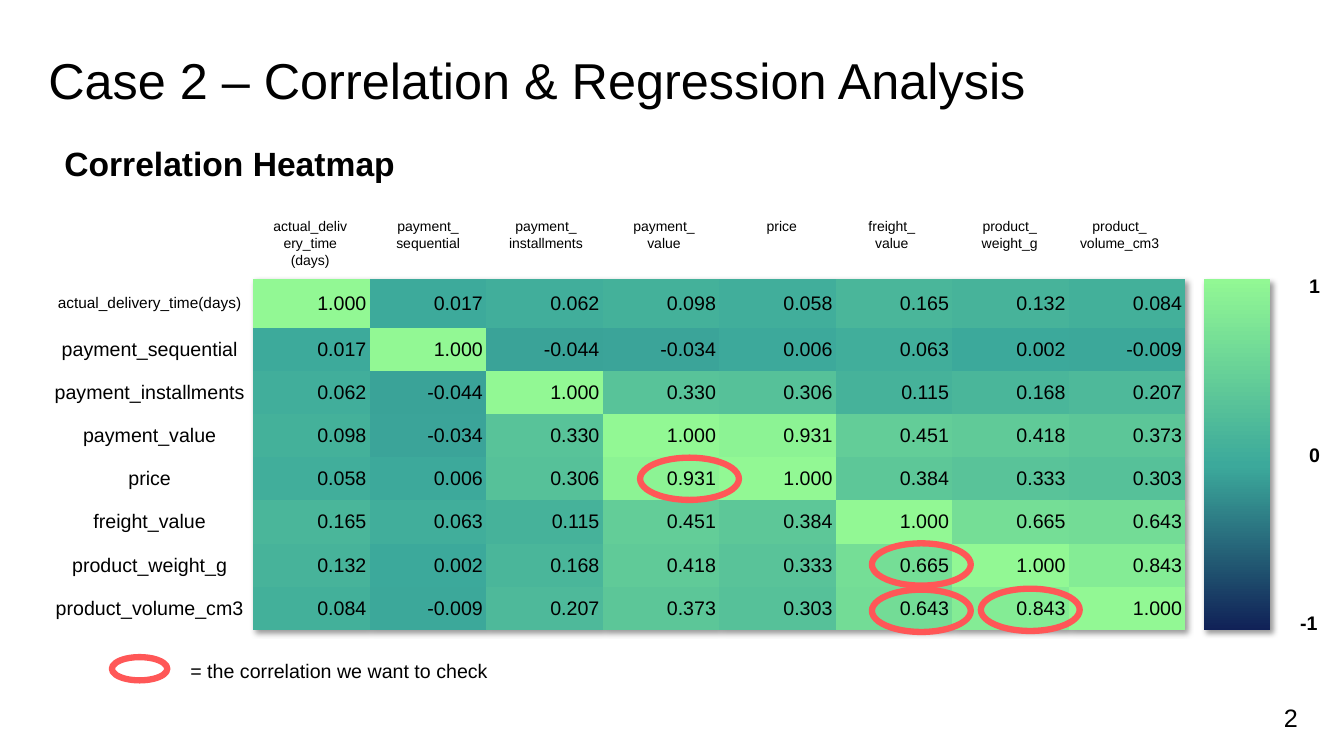
from dataclasses import dataclass
from typing import Any

from lxml import etree
from copy import deepcopy
from pptx import Presentation
from pptx import util as u
from pptx.dml import color
from pptx.enum import text
from pptx.enum import shapes
from pptx.oxml import ns

Pt = u.Pt
Align = text.PP_ALIGN
Anchor = text.MSO_ANCHOR


@dataclass(frozen=True)
class Theme:
    font: str = "Arial"
    ink: str = "000000"
    ring: str = "FF5757"
    low: str = "102157"
    middle: str = "3CA99B"
    high: str = "92F894"
    title: float = 36
    heading: float = 24
    page_number: float = 18
    body: float = 14
    small: float = 11
    header: float = 10


@dataclass(frozen=True)
class Box:
    left: float
    top: float
    width: float
    height: float

    def lengths(self) -> list[Any]:
        return [Pt(side) for side in (self.left, self.top, self.width, self.height)]


@dataclass(frozen=True)
class Label:
    words: str
    box: Box
    size: float
    bold: bool = False
    align: Any = None
    anchor: Any = Anchor.TOP
    line_spacing: float | None = None
    space_before: float = 0


THEME = Theme()
HEATMAP = Box(33.1, 199.5, 813.6, 250.6)
LABEL_COLUMN = 147.6
FIRST_ROW = 34.6
NO_STYLE = "{2D5ABB26-0587-4C30-8999-92F81FD0307C}"

CORRELATIONS = {
    "actual_delivery_time(days)": [1.0],
    "payment_sequential": [0.017, 1.0],
    "payment_installments": [0.062, -0.044, 1.0],
    "payment_value": [0.098, -0.034, 0.330, 1.0],
    "price": [0.058, 0.006, 0.306, 0.931, 1.0],
    "freight_value": [0.165, 0.063, 0.115, 0.451, 0.384, 1.0],
    "product_weight_g": [0.132, 0.002, 0.168, 0.418, 0.333, 0.665, 1.0],
    "product_volume_cm3": [0.084, -0.009, 0.207, 0.373, 0.303, 0.643, 0.843, 1.0],
}
HEADERS = {
    185.8: "actual_delivery_time\n(days)",
    270: "payment_\nsequential",
    354.2: "payment_\ninstallments",
    438.5: "payment_\nvalue",
    522.7: "price",
    601.2: "freight_\nvalue",
    685.4: "product_\nweight_g",
    763.9: "product_\nvolume_cm3",
}
SCALE_MARKS = [
    ("1", 928.1, 192.2),
    ("0", 928.1, 312.5),
    ("-1", 921.6, 432.7),
]
LABELS = [
    Label("2", Box(902.2, 500.4, 39.6, 35.3), THEME.page_number,
          align=Align.CENTER, line_spacing=0.9, space_before=10),
    Label("Case 2 – Correlation & Regression Analysis", Box(27.4, 7.2, 828, 104.4),
          THEME.title, anchor=Anchor.MIDDLE, line_spacing=0.9),
    Label("Correlation Heatmap", Box(38.9, 98.6, 511.2, 36), THEME.heading, bold=True),
    Label("= the correlation we want to check", Box(128.9, 467.3, 245, 24.5), THEME.body),
    *(Label(words, Box(left, top, 32.4, 24.5), THEME.body, bold=True)
      for words, left, top in SCALE_MARKS),
    *(Label(words, Box(left, 151.9, 71.6, 31.7), THEME.header, align=Align.CENTER)
      for left, words in HEADERS.items()),
]
RINGS = [
    *(Box(left, top, 70.6, 30.2)
      for left, top in [(457.2, 326.9), (622.8, 388.1), (622.8, 421.2), (700.6, 420.5)]),
    Box(79.9, 469.4, 39.6, 16.6),
]


def rgb(code: str) -> color.RGBColor:
    return color.RGBColor.from_string(code)


def heat(value: float) -> color.RGBColor:
    end = rgb(THEME.high if value >= 0 else THEME.low)
    pairs = zip(rgb(THEME.middle), end)
    return color.RGBColor(*(round(a + (b - a) * abs(value)) for a, b in pairs))


def style(para: Any, size: float, bold: bool = False, align: Any = None) -> None:
    para.alignment = align
    for span in para.runs:
        span.font.name = THEME.font
        span.font.size = Pt(size)
        span.font.bold = bold
        span.font.color.rgb = rgb(THEME.ink)


def add_label(page: Any, label: Label) -> None:
    frame = page.shapes.add_textbox(*label.box.lengths()).text_frame
    frame.word_wrap = True
    frame.vertical_anchor = label.anchor
    frame.text = label.words
    for para in frame.paragraphs:
        style(para, label.size, label.bold, label.align)
        para.line_spacing = label.line_spacing
        para.space_before = Pt(label.space_before)


def add_shadow(effects: Any) -> None:
    shadow = etree.SubElement(effects, ns.qn("a:outerShdw"), blurRad=str(Pt(4)),
                              dist=str(Pt(3)), dir="2700000", algn="tl", rotWithShape="0")
    black = etree.SubElement(shadow, ns.qn("a:srgbClr"), val=THEME.ink)
    etree.SubElement(black, ns.qn("a:alpha"), val="40000")


def fill_cell(cell: Any, words: str, size: float, align: Any) -> None:
    cell.text = words
    cell.vertical_anchor = Anchor.MIDDLE
    cell.margin_left = cell.margin_right = Pt(2.2)
    cell.margin_top = cell.margin_bottom = Pt(1.4)
    style(cell.text_frame.paragraphs[0], size, align=align)


def add_heatmap(page: Any) -> None:
    count = len(CORRELATIONS)
    table = page.shapes.add_table(count, count + 1, *HEATMAP.lengths()).table
    table.first_row = table.horz_banding = False
    properties = table._tbl.tblPr
    properties.find(ns.qn("a:tableStyleId")).text = NO_STYLE
    effects = etree.Element(ns.qn("a:effectLst"))
    properties.insert(0, effects)
    add_shadow(effects)
    for index, column in enumerate(table.columns):
        column.width = Pt((HEATMAP.width - LABEL_COLUMN) / count if index else LABEL_COLUMN)
    triangle = list(CORRELATIONS.values())
    for index, name in enumerate(CORRELATIONS):
        table.rows[index].height = Pt(
            (HEATMAP.height - FIRST_ROW) / (count - 1) if index else FIRST_ROW)
        name_cell = table.cell(index, 0)
        fill_cell(name_cell, name, THEME.body if index else THEME.small, Align.CENTER)
        name_cell.fill.background()
        for other in range(count):
            value = triangle[max(index, other)][min(index, other)]
            cell = table.cell(index, other + 1)
            fill_cell(cell, f"{value:.3f}", THEME.body, Align.RIGHT)
            cell.fill.solid()
            cell.fill.fore_color.rgb = heat(value)


def add_ring(page: Any, box: Box) -> None:
    ring = page.shapes.add_shape(shapes.MSO_SHAPE.OVAL, *box.lengths())
    ring.shadow.inherit = False
    ring.fill.background()
    ring.line.color.rgb = rgb(THEME.ring)
    ring.line.width = Pt(4.5)


def add_scale(page: Any) -> None:
    box = Box(859.7, HEATMAP.top, 47.5, HEATMAP.height)
    scale = page.shapes.add_shape(shapes.MSO_SHAPE.RECTANGLE, *box.lengths())
    scale.line.fill.background()
    scale.fill.gradient()
    scale.fill.gradient_angle = 270
    stops = scale._element.spPr.find(".//" + ns.qn("a:gsLst"))
    stops.append(deepcopy(stops[0]))
    levels = [(0, THEME.high), (0.53, THEME.middle), (1, THEME.low)]
    for stop, (position, code) in zip(scale.fill.gradient_stops, levels):
        stop.position = position
        stop.color.rgb = rgb(code)
    scale.shadow.inherit = False
    add_shadow(scale._element.spPr.find(ns.qn("a:effectLst")))


deck = Presentation()
deck.slide_width, deck.slide_height = Pt(960), Pt(540)
page = deck.slides.add_slide(deck.slide_layouts[6])
add_heatmap(page)
add_scale(page)
for ring_box in RINGS:
    add_ring(page, ring_box)
for label in LABELS:
    add_label(page, label)
deck.save("out.pptx")
